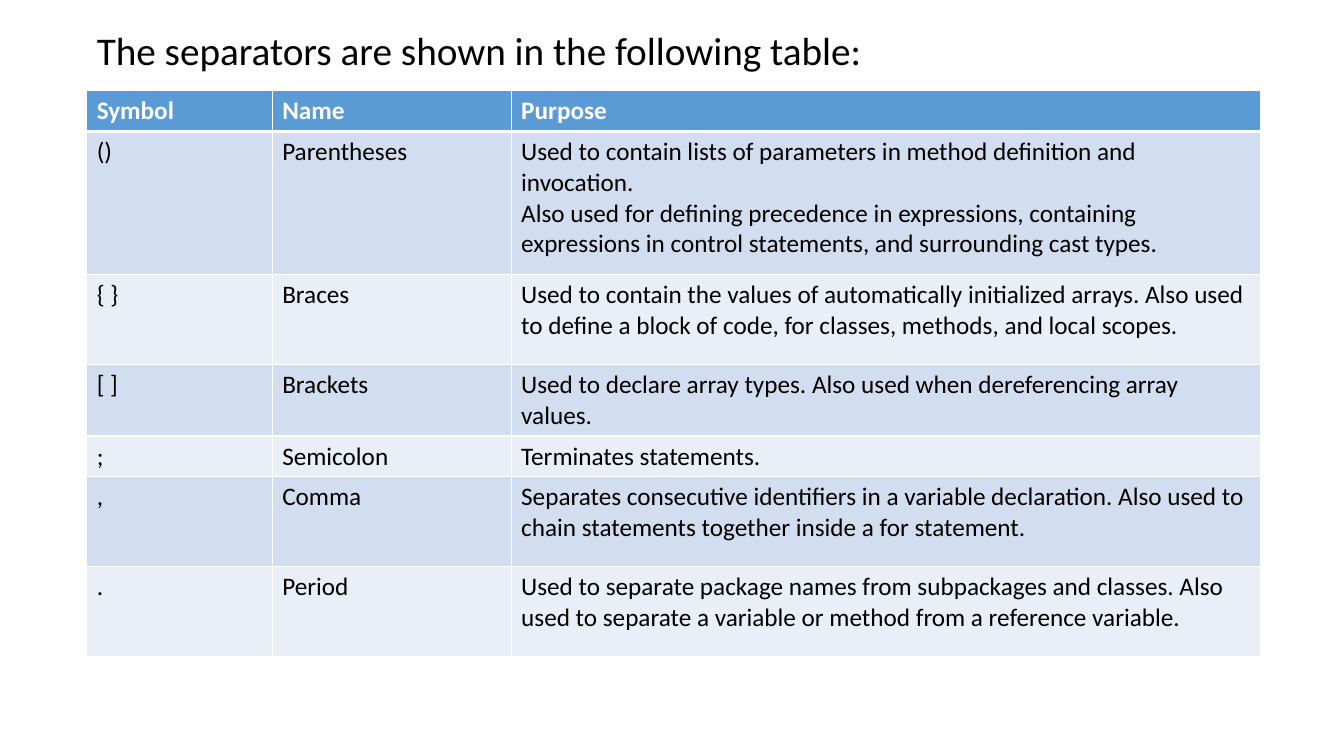
from dataclasses import dataclass

from lxml.etree import SubElement
from pptx import Presentation
from pptx.dml.color import RGBColor
from pptx.enum.text import MSO_ANCHOR, PP_ALIGN
from pptx.oxml.ns import qn
from pptx.util import Inches, Pt

FONT = "Calibri"
BLACK, WHITE = "000000", "FFFFFF"
HEADER_FILL = "5B9BD5"
BAND_FILLS = ("D2DEEF", "EAEFF7")
COLUMN_WIDTHS = (1.84, 2.37, 7.43)
THIN, THICK = 1, 3


@dataclass(frozen=True)
class Row:
    height: float
    symbol: str
    name: str
    purpose: str


ROWS = (
    Row(0.4, "Symbol", "Name", "Purpose"),
    Row(1.42, "()", "Parentheses",
        "Used to contain lists of parameters in method definition and invocation.\n"
        "Also used for defining precedence in expressions, containing "
        "expressions in control statements, and surrounding cast types."),
    Row(0.89, "{ }", "Braces",
        "Used to contain the values of automatically initialized arrays. Also used\n"
        "to define a block of code, for classes, methods, and local scopes."),
    Row(0.7, "[ ]", "Brackets",
        "Used to declare array types. Also used when dereferencing array values."),
    Row(0.4, ";", "Semicolon", "Terminates statements."),
    Row(0.89, ",", "Comma",
        "Separates consecutive identifiers in a variable declaration. Also used to\n"
        "chain statements together inside a for statement."),
    Row(0.89, ".", "Period",
        "Used to separate package names from subpackages and classes. Also\n"
        "used to separate a variable or method from a reference variable."),
)


def rgb(value: str) -> RGBColor:
    return RGBColor.from_string(value)


def format_text(tf, size: int, color: str, bold: bool = False) -> None:
    for p in tf.paragraphs:
        p.alignment = PP_ALIGN.LEFT
        p.font.name = FONT
        p.font.size = Pt(size)
        p.font.bold = bold
        p.font.color.rgb = rgb(color)


def add_borders(cell, top: int, bottom: int) -> None:
    tc_pr = cell._tc.get_or_add_tcPr()
    for side, width in (("L", THIN), ("R", THIN), ("T", top), ("B", bottom)):
        ln = SubElement(tc_pr, qn(f"a:ln{side}"), w=str(Pt(width)))
        fill = SubElement(ln, qn("a:solidFill"))
        SubElement(fill, qn("a:srgbClr"), val=WHITE)


def add_title(s, text: str) -> None:
    sp = s.shapes.title
    sp.left, sp.top = Inches(0.86), Inches(0.26)
    sp.width, sp.height = Inches(7.9), Inches(0.64)
    tf = sp.text_frame
    tf.text = text
    tf.word_wrap = True
    tf.vertical_anchor = MSO_ANCHOR.TOP
    format_text(tf, 28, BLACK)
    tf.paragraphs[0].line_spacing = 0.9


def add_separator_table(s) -> None:
    table = s.shapes.add_table(
        len(ROWS), len(COLUMN_WIDTHS), Inches(0.86), Inches(0.9),
        Inches(sum(COLUMN_WIDTHS)), Inches(sum(row.height for row in ROWS))).table
    for column, width in zip(table.columns, COLUMN_WIDTHS):
        column.width = Inches(width)
    for i, row in enumerate(ROWS):
        header = i == 0
        table.rows[i].height = Inches(row.height)
        for j, text in enumerate((row.symbol, row.name, row.purpose)):
            cell = table.cell(i, j)
            cell.text = text
            format_text(cell.text_frame, 18, WHITE if header else BLACK, header)
            add_borders(cell, THICK if i == 1 else THIN, THICK if header else THIN)
            cell.fill.solid()
            cell.fill.fore_color.rgb = rgb(HEADER_FILL if header else BAND_FILLS[(i - 1) % 2])


def main() -> None:
    prs = Presentation()
    prs.slide_width, prs.slide_height = Inches(13.33), Inches(7.5)
    s = prs.slides.add_slide(prs.slide_layouts[5])
    add_title(s, "The separators are shown in the following table:")
    add_separator_table(s)
    prs.save("out.pptx")


if __name__ == "__main__":
    main()
